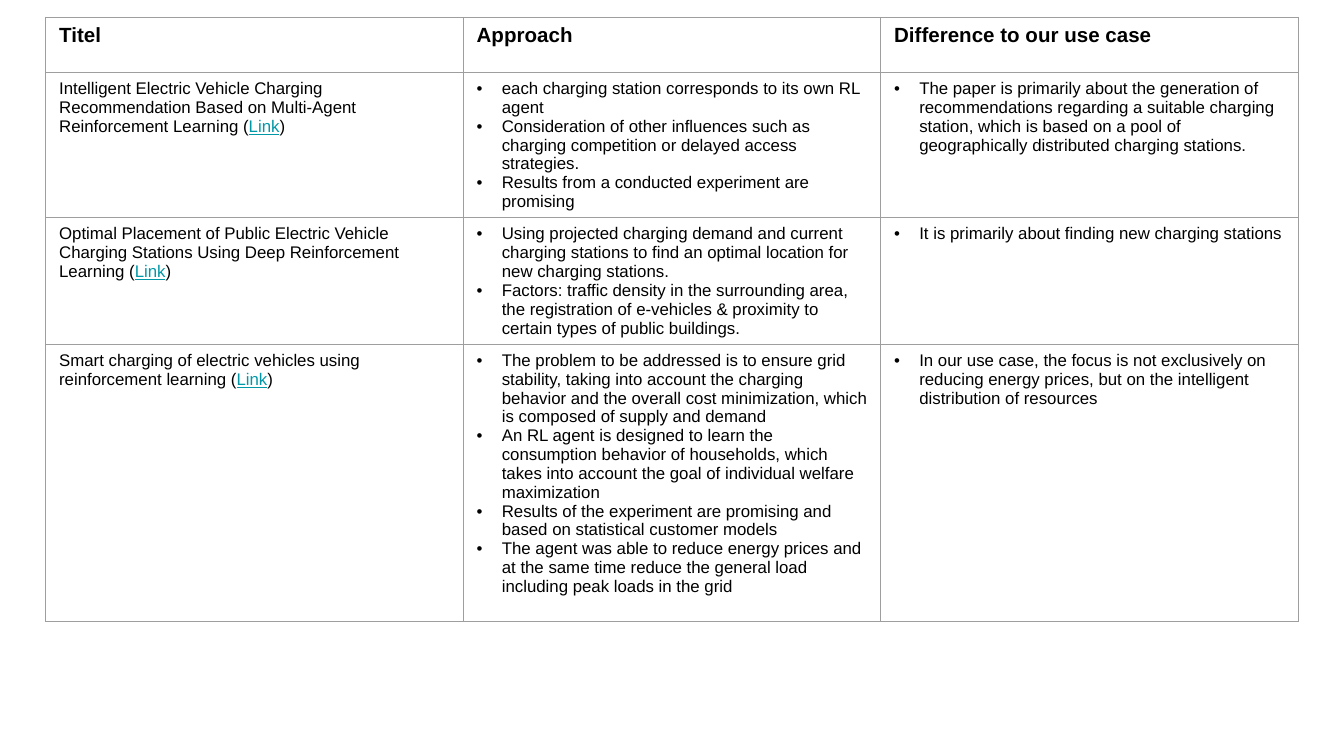
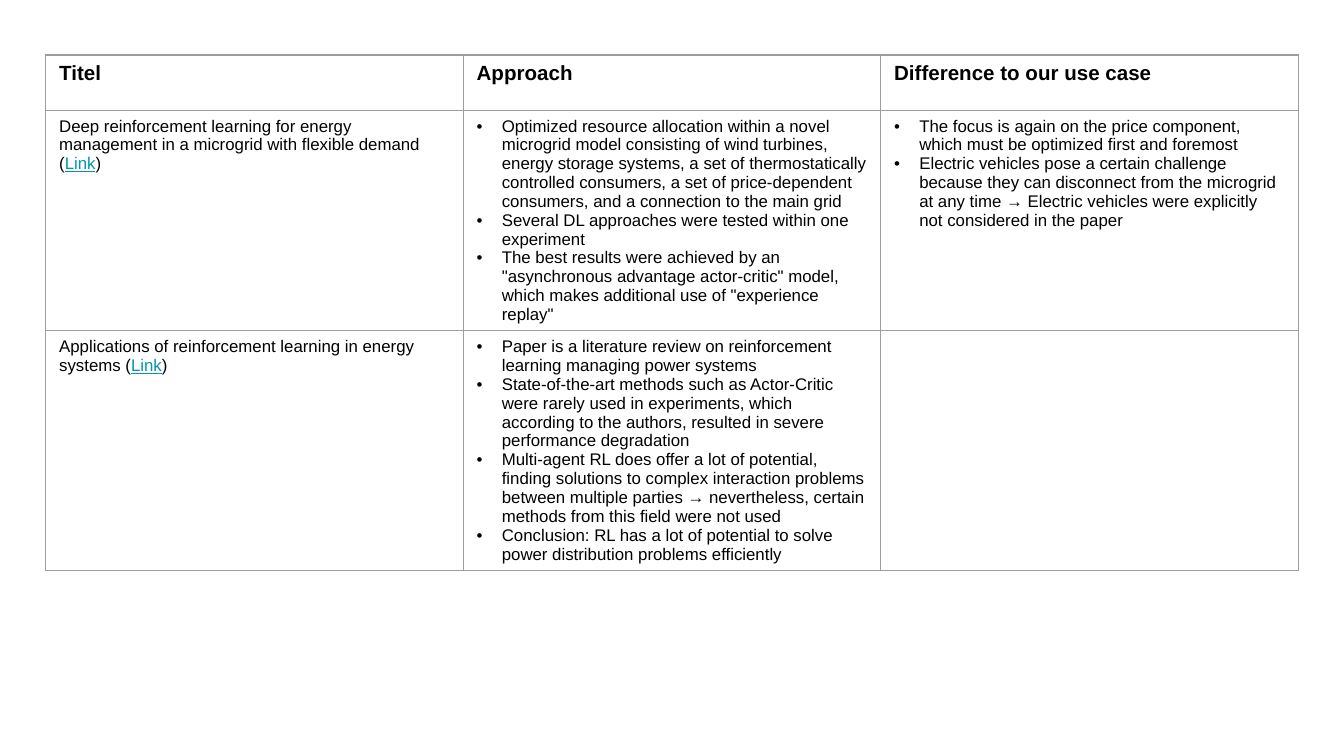
"""Build two slides that compare related papers with our use case."""
import pptx
import pptx.util
import pptx.oxml
import pptx.oxml.ns
import pptx.dml.color
from pptx.util import Inches

HUES = {"text": "000000", "link": "0097A7", "rule": "9E9E9E"}
FACE = "Arial"
HEADS = ["Titel", "Approach", "Difference to our use case"]
LEFT, WIDTH, HEAD = 0.34, 9.32, 0.41
INDENT = Inches(3 / 16)
SPACE = pptx.oxml.ns.nsdecls("a")

SLIDES = [
    (0.13, [
        (1.08, "Intelligent Electric Vehicle Charging Recommendation Based on Multi-Agent Reinforcement Learning",
         ["each charging station corresponds to its own RL agent",
          "Consideration of other influences such as charging competition or delayed access strategies.",
          "Results from a conducted experiment are promising"],
         ["The paper is primarily about the generation of recommendations regarding a suitable charging station, "
          "which is based on a pool of geographically distributed charging stations."]),
        (0.94, "Optimal Placement of Public Electric Vehicle Charging Stations Using Deep Reinforcement Learning",
         ["Using projected charging demand and current charging stations to find an optimal location "
          "for new charging stations.",
          "Factors: traffic density in the surrounding area, the registration of e-vehicles & proximity "
          "to certain types of public buildings."],
         ["It is primarily about finding new charging stations"]),
        (2.06, "Smart charging of electric vehicles using reinforcement learning",
         ["The problem to be addressed is to ensure grid stability, taking into account the charging behavior "
          "and the overall cost minimization, which is composed of supply and demand",
          "An RL agent is designed to learn the consumption behavior of households, which takes into account "
          "the goal of individual welfare maximization",
          "Results of the experiment are promising and based on statistical customer models",
          "The agent was able to reduce energy prices and at the same time reduce the general load "
          "including peak loads in the grid"],
         ["In our use case, the focus is not exclusively on reducing energy prices, but on the intelligent "
          "distribution of resources"]),
    ]),
    (0.41, [
        (1.64, "Deep reinforcement learning for energy management in a microgrid with flexible demand",
         ["Optimized resource allocation within a novel microgrid model consisting of wind turbines, "
          "energy storage systems, a set of thermostatically controlled consumers, a set of price-dependent "
          "consumers, and a connection to the main grid",
          "Several DL approaches were tested within one experiment",
          "The best results were achieved by an \"asynchronous advantage actor-critic\" model, "
          "which makes additional use of \"experience replay\""],
         ["The focus is again on the price component, which must be optimized first and foremost",
          "Electric vehicles pose a certain challenge because they can disconnect from the microgrid "
          "at any time → Electric vehicles were explicitly not considered in the paper"]),
        (1.78, "Applications of reinforcement learning in energy systems",
         ["Paper is a literature review on reinforcement learning managing power systems",
          "State-of-the-art methods such as Actor-Critic were rarely used in experiments, which according "
          "to the authors, resulted in severe performance degradation",
          "Multi-agent RL does offer a lot of potential, finding solutions to complex interaction problems "
          "between multiple parties → nevertheless, certain methods from this field were not used",
          "Conclusion: RL has a lot of potential to solve power distribution problems efficiently"],
         []),
    ]),
]


def style(para, size, bold=False):
    font = para.font
    font.name, font.size, font.bold = FACE, pptx.util.Pt(size), bold
    font.color.rgb = pptx.dml.color.RGBColor.from_string(HUES["text"])


def fill(cell, items):
    frame = cell.text_frame
    for n, item in enumerate(items):
        para = frame.add_paragraph() if n else frame.paragraphs[0]
        para.text = item
        props = para._p.get_or_add_pPr()
        props.set("marL", str(INDENT))
        props.set("indent", str(-INDENT))
        for xml in (f'<a:buClr {SPACE}><a:srgbClr val="{HUES["text"]}"/></a:buClr>',
                    f'<a:buFont {SPACE} typeface="{FACE}"/>',
                    f'<a:buChar {SPACE} char="•"/>'):
            props.append(pptx.oxml.parse_xml(xml))
        style(para, 9)
    if not items:
        style(frame.paragraphs[0], 9)


deck = pptx.Presentation()
deck.slide_width, deck.slide_height = Inches(10), Inches(10 * 9 / 16)

for top, papers in SLIDES:
    slide = deck.slides.add_slide(deck.slide_layouts[6])
    highs = [HEAD] + [paper[0] for paper in papers]
    table = slide.shapes.add_table(len(highs), len(HEADS), Inches(LEFT), Inches(top),
                                   Inches(WIDTH), Inches(sum(highs))).table
    table.first_row = table.horz_banding = False
    for row, high in zip(table.rows, highs):
        row.height = Inches(high)

    for col, head in enumerate(HEADS):
        para = table.cell(0, col).text_frame.paragraphs[0]
        para.text = head
        style(para, 11, True)

    for n, (high, title, steps, gaps) in enumerate(papers, 1):
        para = table.cell(n, 0).text_frame.paragraphs[0]
        style(para, 9)
        for part in (title + " (", "Link", ")"):
            run = para.add_run()
            run.text = part
            if part == "Link":
                run.font.underline = True
                run.font.color.rgb = pptx.dml.color.RGBColor.from_string(HUES["link"])
        fill(table.cell(n, 1), steps)
        fill(table.cell(n, 2), gaps)

    for cell in table.iter_cells():
        cell.fill.background()
        props = cell._tc.get_or_add_tcPr()
        for n, side in enumerate("LRTB"):
            props.insert(n, pptx.oxml.parse_xml(
                f'<a:ln{side} {SPACE} w="{pptx.util.Pt(0.75)}"><a:solidFill>'
                f'<a:srgbClr val="{HUES["rule"]}"/></a:solidFill></a:ln{side}>'))

deck.save("out.pptx")
